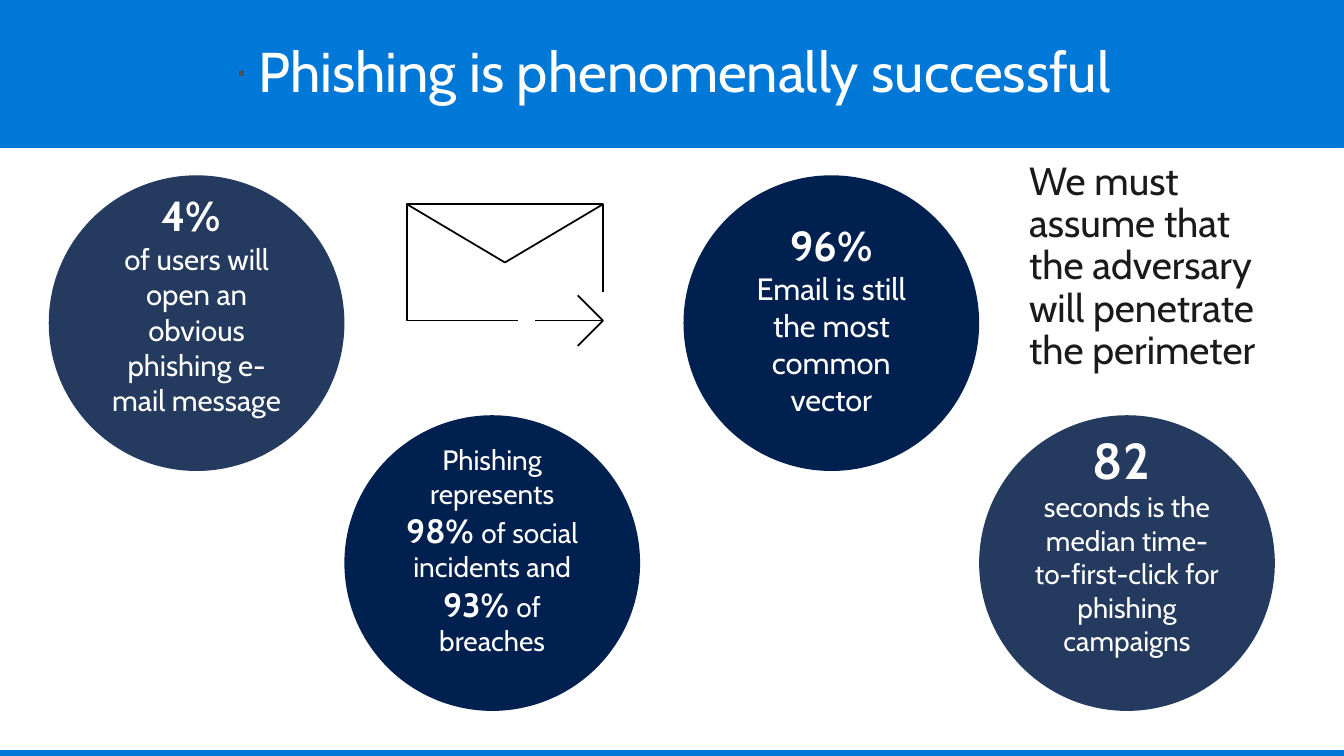
from lxml.etree import SubElement
from pptx import Presentation
from pptx.dml.color import RGBColor
from pptx.enum.shapes import MSO_SHAPE
from pptx.enum.text import MSO_ANCHOR, MSO_AUTO_SIZE, PP_ALIGN
from pptx.oxml.ns import qn
from pptx.util import Pt

FONT = "Cabin"
BLUE = RGBColor(0x00, 0x78, 0xD7)
SLATE = RGBColor(0x24, 0x3A, 0x5E)
NAVY = RGBColor(0x00, 0x20, 0x50)
WHITE = RGBColor(0xFF, 0xFF, 0xFF)
BLACK = RGBColor(0x00, 0x00, 0x00)
INK = RGBColor(0x1A, 0x1A, 0x1A)

DIAMETER = 211.2
PAIR_LEFTS = (34.8, 488.2)
UPPER, LOWER = 125.2, 296.6

# Each circle: paragraphs of (text, size, bold) runs
USERS = [[("4%", 30, True), (" ", 36, True)],
         [("of users will open an obvious phishing e-mail message", 21, False)]]
INCIDENTS = [[("Phishing represents ", 20, False), ("98% ", 24, True),
              ("of social", 20, False)],
             [("incidents and ", 20, False), ("93% ", 24, True),
              ("of breaches", 20, False)]]
VECTOR = [[("96%", 30, True)],
          [("Email is still the most common vector", 22, False)]]
SECONDS = [[("82 ", 36, True)],
           [("seconds is the median time-to-first-click for phishing campaigns",
             20, False)]]

# Envelope strokes, in points
ENVELOPE = [
    [(370, 229), (290.7, 229), (290.7, 145.9), (430.7, 145.9), (430.7, 208.5)],
    [(290.7, 145.9), (360.7, 187.5), (430.7, 145.9)],
    [(382.2, 229), (430.7, 229)],
    [(412.7, 247), (430.7, 229), (412.7, 211)],
]


def add_run(p, text, size, color, bold=False):
    r = p.add_run()
    r.text = text
    r.font.name = FONT
    r.font.size = Pt(size)
    r.font.bold = bold
    r.font.color.rgb = color


def set_frame(tf, anchor, horizontal, vertical):
    tf.word_wrap = True
    tf.auto_size = MSO_AUTO_SIZE.NONE
    tf.vertical_anchor = anchor
    tf.margin_left = tf.margin_right = Pt(horizontal)
    tf.margin_top = tf.margin_bottom = Pt(vertical)


def add_band(s, top, height):
    sp = s.shapes.add_shape(MSO_SHAPE.RECTANGLE, 0, Pt(top), Pt(960), Pt(height))
    sp.shadow.inherit = False
    sp.fill.solid()
    sp.fill.fore_color.rgb = BLUE
    sp.line.color.rgb = BLUE
    sp.line.width = Pt(0.75)


def set_title(s, text):
    sp = s.shapes.title
    s.shapes._spTree.append(sp._element)  # in front of the band
    sp.left, sp.top, sp.width, sp.height = Pt(38.9), Pt(21.6), Pt(882), Pt(56.9)
    set_frame(sp.text_frame, MSO_ANCHOR.MIDDLE, 0, 0)
    p = sp.text_frame.paragraphs[0]
    p.alignment = PP_ALIGN.CENTER
    pPr = p._p.get_or_add_pPr()
    pPr.set("marL", str(Pt(18)))
    pPr.set("indent", str(-Pt(18)))
    color = SubElement(pPr, qn("a:buClr"))
    SubElement(color, qn("a:srgbClr"), val="505050")
    SubElement(pPr, qn("a:buSzPct"), val="90000")
    SubElement(pPr, qn("a:buFont"), typeface="Arial")
    SubElement(pPr, qn("a:buChar"), char="·")
    add_run(p, text, 40, WHITE)


def add_circle(s, left, top, fill, paragraphs):
    sp = s.shapes.add_shape(MSO_SHAPE.OVAL, Pt(left), Pt(top),
                            Pt(DIAMETER), Pt(DIAMETER))
    sp.shadow.inherit = False
    sp.fill.solid()
    sp.fill.fore_color.rgb = fill
    sp.line.fill.background()
    tf = sp.text_frame
    set_frame(tf, MSO_ANCHOR.BOTTOM, 7.2, 7.2)
    for i, runs in enumerate(paragraphs):
        p = tf.add_paragraph() if i else tf.paragraphs[0]
        p.alignment = PP_ALIGN.CENTER
        for text, size, bold in runs:
            add_run(p, text, size, WHITE, bold)


def add_envelope(s):
    strokes = [[(Pt(x), Pt(y)) for x, y in stroke] for stroke in ENVELOPE]
    builder = s.shapes.build_freeform(*strokes[0][0])
    for i, (start, *rest) in enumerate(strokes):
        if i:
            builder.move_to(*start)
        builder.add_line_segments(rest, close=False)
    sp = builder.convert_to_shape()
    sp.shadow.inherit = False
    sp.fill.background()
    sp.line.color.rgb = BLACK
    sp.line.width = Pt(1.25)


def add_conclusion(s, text):
    sp = s.shapes.add_textbox(Pt(720.7), Pt(103.7), Pt(211), Pt(176.4))
    set_frame(sp.text_frame, MSO_ANCHOR.TOP, 14.4, 11.5)
    p = sp.text_frame.paragraphs[0]
    p.line_spacing = 0.9
    add_run(p, text, 28, INK)


def main():
    prs = Presentation()
    prs.slide_width, prs.slide_height = Pt(960), Pt(540)
    s = prs.slides.add_slide(prs.slide_layouts[5])

    # Header and footer bands
    add_band(s, 536.4, 3.6)
    add_band(s, -5, 110)
    set_title(s, "Phishing is phenomenally successful")

    # Conclusion and envelope
    add_conclusion(s, "We must assume that the adversary will penetrate "
                      "the perimeter")
    add_envelope(s)

    # Two pairs of circles, each stepping down to the right
    first, second = PAIR_LEFTS
    add_circle(s, first, UPPER, SLATE, USERS)
    add_circle(s, first + DIAMETER, LOWER, NAVY, INCIDENTS)
    add_circle(s, second, UPPER, NAVY, VECTOR)
    add_circle(s, second + DIAMETER, LOWER, SLATE, SECONDS)

    prs.save("out.pptx")


if __name__ == "__main__":
    main()
